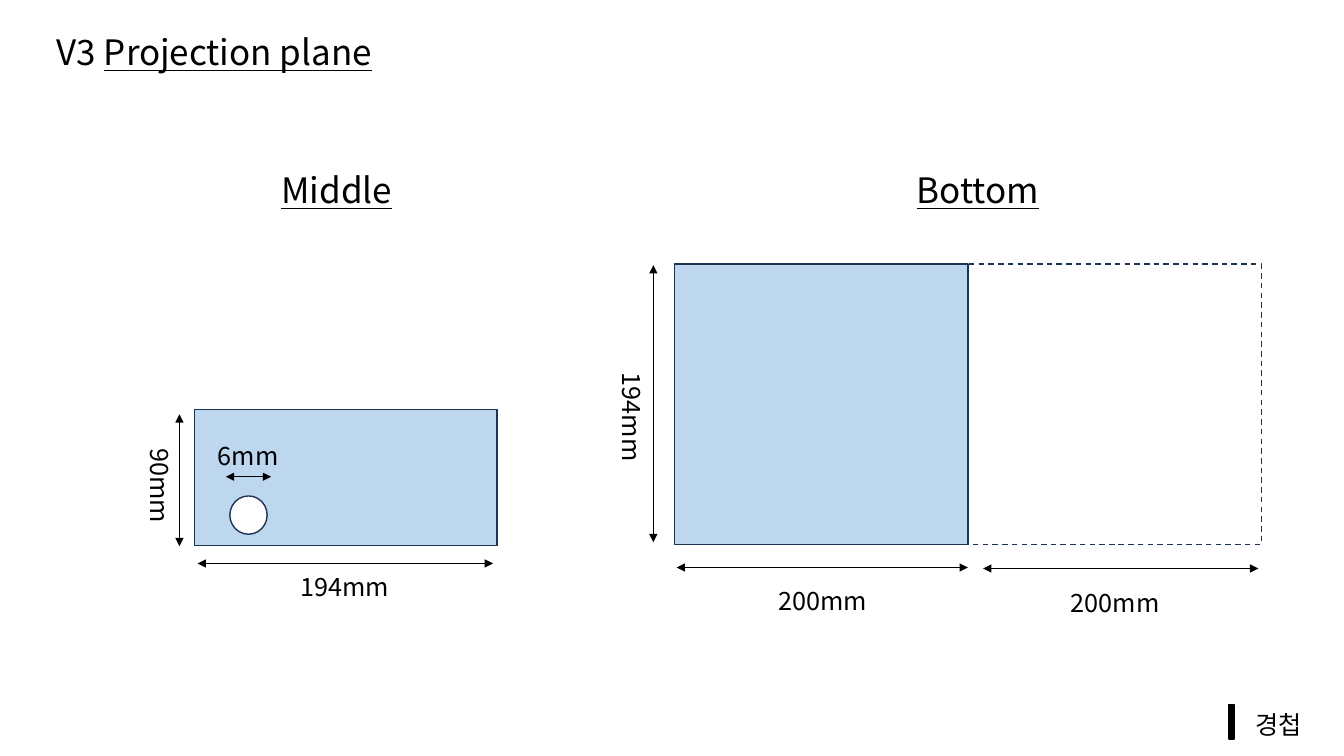
import pptx
import pptx.dml.color
import pptx.enum.dml
import pptx.enum.shapes
import pptx.enum.text
import pptx.oxml
import pptx.oxml.ns
import pptx.util

PX = 9144  # EMU per px, 100 px to the inch
FONT = "Noto Sans CJK KR"
COLORS = {"ink": "000000", "outline": "1E3256", "panel": "BDD7EE", "paper": "FFFFFF"}
HEADING = {"size": pptx.util.Pt(25)}
LABEL = {"size": pptx.util.Pt(18)}
LABEL_SIZE = (118, 40)
HEADING_SIZE = (164, 52)
SHAPES = pptx.enum.shapes.MSO_SHAPE


def emu(*lengths):
    return [length * PX for length in lengths]


def rgb(name):
    return pptx.dml.color.RGBColor.from_string(COLORS[name])


def add_text(slide, box, runs, font_format, align="CENTER", rotation=0):
    """Place one line of text; runs holds (wording, underlined) pairs."""
    holder = slide.shapes.add_textbox(*emu(*box))
    holder.rotation = rotation
    frame = holder.text_frame
    frame.word_wrap = True
    frame.auto_size = pptx.enum.text.MSO_AUTO_SIZE.SHAPE_TO_FIT_TEXT
    line = frame.paragraphs[0]
    line.alignment = pptx.enum.text.PP_ALIGN[align]
    for wording, underlined in runs:
        run = line.add_run()
        run.text = wording
        values = {"name": FONT, "underline": underlined or None, **font_format}
        for attribute, value in values.items():
            setattr(run.font, attribute, value)
        run.font.color.rgb = rgb("ink")
        east_asian = pptx.oxml.parse_xml(
            f'<a:ea {pptx.oxml.ns.nsdecls("a")} typeface="{FONT}"/>')
        run.font._element.find(pptx.oxml.ns.qn("a:latin")).addnext(east_asian)


def add_outline(slide, box, fill, kind=SHAPES.RECTANGLE, line="outline", dash=None):
    outline = slide.shapes.add_shape(kind, *emu(*box))
    outline.shadow.inherit = False
    outline.fill.solid()
    outline.fill.fore_color.rgb = rgb(fill)
    outline.line.color.rgb = rgb(line)
    outline.line.width = pptx.util.Pt(1)
    if dash:
        outline.line.dash_style = dash


def add_dimension(slide, start, end, label, label_at, rotation=0):
    """Draw a double-headed measuring arrow and its label."""
    arrow = slide.shapes.add_connector(
        pptx.enum.shapes.MSO_CONNECTOR.STRAIGHT, *emu(*start, *end))
    arrow.line.color.rgb = rgb("ink")
    arrow.line.width = pptx.util.Pt(0.5)
    namespace = pptx.oxml.ns.nsdecls("a")
    for end_tag in ("headEnd", "tailEnd"):
        arrow.line._get_or_add_ln().append(
            pptx.oxml.parse_xml(f'<a:{end_tag} {namespace} type="triangle"/>'))
    arrow._element.spPr.append(pptx.oxml.parse_xml(f"<a:effectLst {namespace}/>"))
    add_text(slide, (*label_at, *LABEL_SIZE), [(label, False)], LABEL, rotation=rotation)


def add_title(slide, box):
    add_text(slide, box, [("V3 ", False), ("Projection plane", True)], HEADING)


def add_middle(slide, box):
    x, y, width, height = box
    bottom = y + height
    add_text(slide, (x + 59, y - 244, *HEADING_SIZE), [("Middle", True)], HEADING)
    add_outline(slide, box, "panel")
    add_dimension(slide, (x + width - 4, bottom + 18), (x + 3, bottom + 18),
                  "194mm", (x + 90, bottom + 21))
    add_dimension(slide, (x - 15, bottom + 1), (x - 15, y + 5),
                  "90mm", (x - 93, y + 56), rotation=90)
    add_outline(slide, (x + 35, y + 86, 37, 38), "paper", SHAPES.OVAL)
    add_dimension(slide, (x + 31, y + 67), (x + 76, y + 67), "6mm", (x - 6, y + 26))


def add_bottom(slide, box):
    """Place the solid plane in the box and its dashed twin to the right."""
    x, y, width, height = box
    right, bottom = x + width, y + height
    add_text(slide, (x + 219, y - 100, *HEADING_SIZE), [("Bottom", True)], HEADING)
    add_outline(slide, (right, y, width, height), "paper",
                dash=pptx.enum.dml.MSO_LINE.DASH)
    add_outline(slide, box, "panel")
    add_dimension(slide, (right + width - 3, bottom + 24), (right + 15, bottom + 24),
                  "200mm", (right + 87, bottom + 38))
    add_dimension(slide, (right, bottom + 23), (x + 2, bottom + 23),
                  "200mm", (x + 88, bottom + 36))
    add_dimension(slide, (x - 21, bottom - 2), (x - 21, y + 1),
                  "194mm", (x - 101, y + 132), rotation=90)


def add_legend(slide, box):
    x, y, width, height = box
    add_outline(slide, (x, y, 5, 34), "ink", line="ink")
    add_text(slide, (x + 16, y, width - 16, height), [("경첩", False)], LABEL, "LEFT")


def main():
    deck = pptx.Presentation()
    deck.slide_width, deck.slide_height = emu(1333, 750)
    slide = deck.slides.add_slide(deck.slide_layouts[6])
    add_legend(slide, (1219, 699, 95, 40))
    add_title(slide, (38, 25, 349, 52))
    add_bottom(slide, (669, 262, 291, 278))
    add_middle(slide, (193, 406, 300, 135))
    deck.save("out.pptx")


if __name__ == "__main__":
    main()
